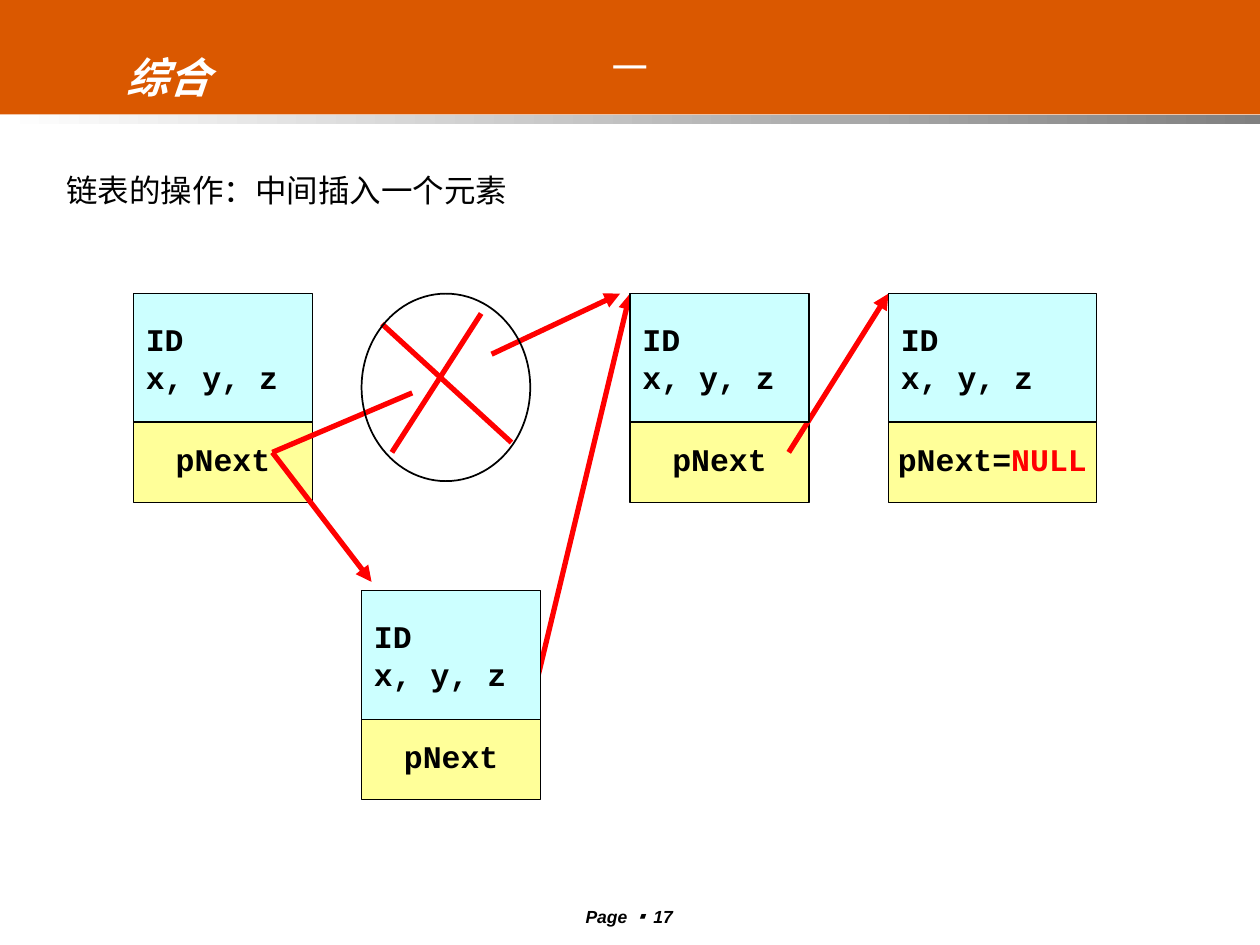
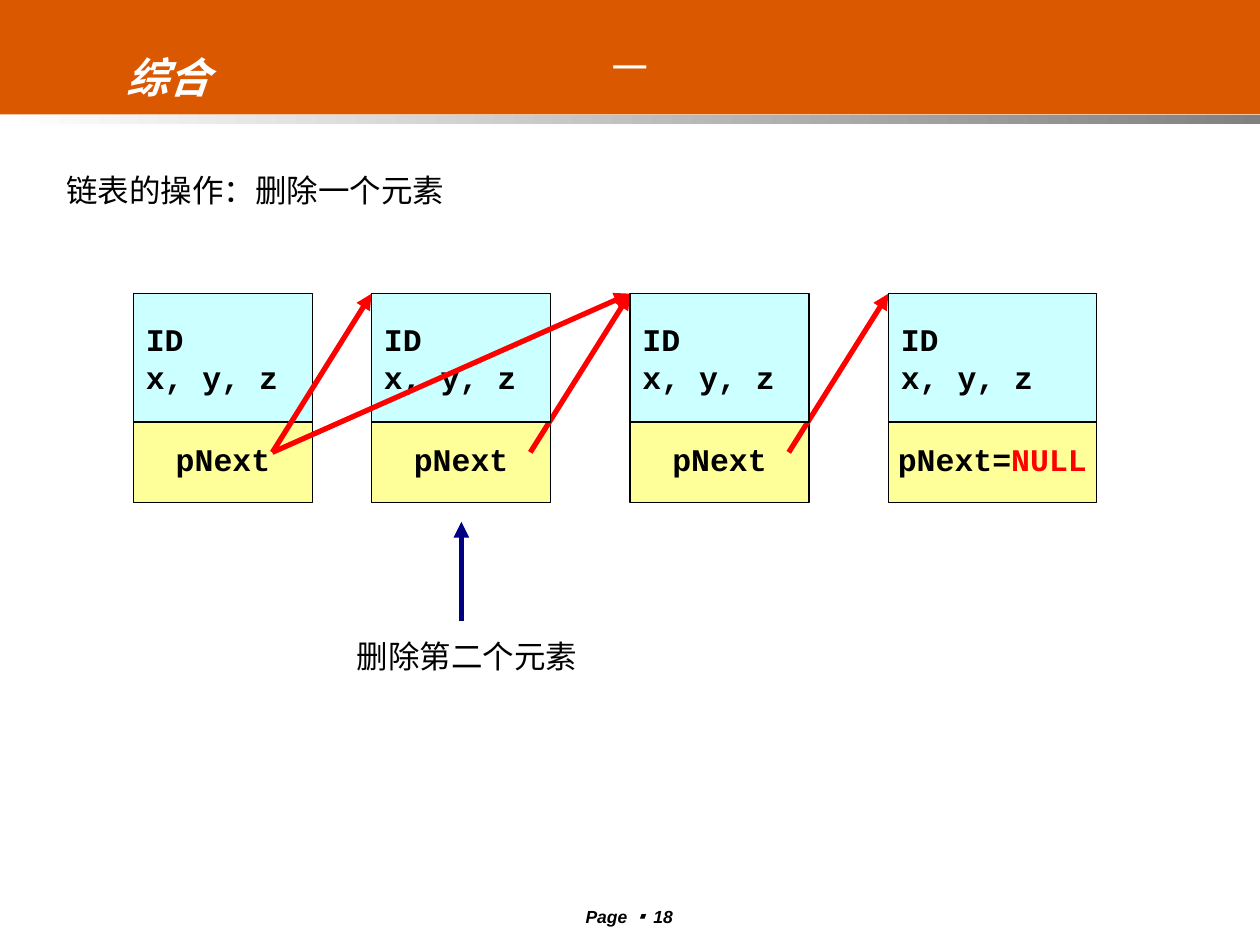
"""Build two slides on linked lists: inserting and deleting an element."""
from lxml.etree import SubElement
from pptx import Presentation
from pptx.dml.color import RGBColor
from pptx.enum.shapes import MSO_CONNECTOR, MSO_SHAPE
from pptx.enum.text import MSO_ANCHOR, MSO_AUTO_SIZE, PP_ALIGN
from pptx.oxml.ns import qn
from pptx.util import Cm, Pt

ORANGE, WHITE, GREY, BLACK = "DA5800", "FFFFFF", "808080", "000000"
CYAN, YELLOW, RED, NAVY = "CCFFFF", "FFFF99", "FF0000", "000080"
SANS, MONO, SYMBOL = "Arial", "Courier New", "Noto Sans CJK JP"
color = RGBColor.from_string


def write(shape, paragraphs, size, align=PP_ALIGN.LEFT, anchor=MSO_ANCHOR.TOP,
          bold=False, italic=False, wrap=False):
    """Fill a shape with paragraphs of (text, font, colour) runs."""
    frame = shape.text_frame
    frame.auto_size = MSO_AUTO_SIZE.NONE
    frame.word_wrap = wrap
    frame.vertical_anchor = anchor
    for index, runs in enumerate(paragraphs):
        paragraph = frame.add_paragraph() if index else frame.paragraphs[0]
        paragraph.alignment = align
        paragraph.space_before = Pt(0)
        for text, font, ink in runs:
            run = paragraph.add_run()
            run.text = text
            run.font.name, run.font.size = font, Pt(size)
            run.font.bold, run.font.italic = bold, italic
            run.font.color.rgb = color(ink)


def draw_line(slide, start, end, ink=RED, arrow=True):
    """Draw a thick straight line between two points in centimetres."""
    line = slide.shapes.add_connector(
        MSO_CONNECTOR.STRAIGHT, *(Cm(v) for v in (*start, *end)))
    line.line.color.rgb = color(ink)
    line.line.width = Pt(3)
    if arrow:
        SubElement(line.line._get_or_add_ln(), qn("a:tailEnd"), type="triangle")
    SubElement(line.element.spPr, qn("a:effectLst"))


prs = Presentation()
prs.slide_width, prs.slide_height = Cm(25.4), Cm(19.05)
layout = prs.slide_layouts[5]

ROW, HEAD_HEIGHT = 5.92, 2.59
NEXT_OFFSET, NEXT_HEIGHT = 2.46, 1.75
POINTER_Y = 9.12
NODE_WIDTH = 3.61
FIRST = (2.69, ROW, NODE_WIDTH)
SECOND = (7.49, ROW, NODE_WIDTH)
THIRD = (12.7, ROW, NODE_WIDTH)
LAST = (17.91, ROW, 4.19)
INSERTED = (7.29, 11.91, NODE_WIDTH)
FIRST_POINTER = (5.49, POINTER_Y)
THIRD_TO_LAST = ((15.9, POINTER_Y), LAST[:2])

topics = [
    (17, "链表的操作：中间插入一个元素", 9.4, [
        ("next", FIRST), ("next", THIRD), ("next", LAST),
        ("arrow", THIRD_TO_LAST), ("head", FIRST),
        ("arrow", (FIRST_POINTER, (7.49, 11.73))),
        ("arrow", ((10.49, 15.11), THIRD[:2])),
        ("next", INSERTED), ("head", INSERTED),
        ("head", THIRD), ("head", LAST),
        ("arrow", ((9.91, 7.14), (12.5, ROW))),
        ("stroke", ((7.7, 6.53), (10.31, 8.92))),
        ("stroke", ((7.9, POINTER_Y), (9.7, 6.32))),
        ("stroke", (FIRST_POINTER, (8.31, 7.92)))]),
    (18, "链表的操作：删除一个元素", 8.13, [
        ("next", FIRST), ("next", THIRD), ("next", LAST),
        ("arrow", THIRD_TO_LAST), ("head", FIRST),
        ("arrow", (FIRST_POINTER, SECOND[:2])), ("next", SECOND),
        ("arrow", ((10.69, POINTER_Y), THIRD[:2])),
        ("head", SECOND), ("head", THIRD), ("head", LAST),
        ("arrow", (FIRST_POINTER, THIRD[:2]))]),
]

slides = []
for page, heading, heading_width, steps in topics:
    slide = prs.slides.add_slide(layout)
    slides.append(slide)
    title = slide.shapes.title
    title.left, title.top, title.width, title.height = Cm(2.29), Cm(0.91), Cm(11), Cm(1.27)
    write(title, [[("综合", SANS, WHITE)]], 24, bold=True, italic=True, wrap=True)

    dash = slide.shapes.add_textbox(Cm(1.3), Cm(0.53), Cm(22.81), Cm(1.6))
    write(dash, [[("－", MONO, WHITE)]], 26, PP_ALIGN.CENTER, MSO_ANCHOR.MIDDLE, wrap=True)
    footer = slide.shapes.add_textbox(Cm(10.69), Cm(18.14), Cm(3.99), Cm(0.56))
    write(footer, [[("Page ", SANS, BLACK), ("▪ ", SYMBOL, BLACK), (str(page), SANS, BLACK)]],
          10, PP_ALIGN.CENTER, bold=True, italic=True, wrap=True)
    subject = slide.shapes.add_textbox(Cm(1.09), Cm(3.33), Cm(heading_width), Cm(1.02))
    write(subject, [[(heading, SANS, BLACK)]], 18)

    for part, place in steps:
        if part in ("arrow", "stroke"):
            draw_line(slide, *place, arrow=part == "arrow")
            continue
        left, top, width = place
        if part == "head":
            height, fill, align = HEAD_HEIGHT, CYAN, PP_ALIGN.LEFT
            content = [[("ID", MONO, BLACK)], [("x, y, z", MONO, BLACK)]]
        else:
            top, height = top + NEXT_OFFSET, NEXT_HEIGHT
            fill, align = YELLOW, PP_ALIGN.CENTER
            content = [[("pNext", MONO, BLACK)]]
            if place == LAST:
                content = [[("pNext=", MONO, BLACK), ("NULL", MONO, RED)]]
        field = slide.shapes.add_shape(
            MSO_SHAPE.RECTANGLE, Cm(left), Cm(top), Cm(width), Cm(height))
        field.shadow.inherit = False
        field.fill.solid()
        field.fill.fore_color.rgb = color(fill)
        field.line.color.rgb = color(BLACK)
        field.line.width = Pt(0.75)
        write(field, content, 18, align, MSO_ANCHOR.MIDDLE, bold=True)

insertion, deletion = slides

broken_link = insertion.shapes.add_shape(
    MSO_SHAPE.OVAL, Cm(7.29), Cm(ROW), Cm(3.4), Cm(3.78))
broken_link.shadow.inherit = False
broken_link.fill.background()
broken_link.line.color.rgb = color(BLACK)
broken_link.line.width = Pt(1)

draw_line(deletion, (9.3, 12.52), (9.3, 10.52), NAVY)
caption = deletion.shapes.add_textbox(Cm(6.91), Cm(12.32), Cm(5), Cm(1.8))
write(caption, [[("删除第二个元素", SANS, BLACK)]], 18, PP_ALIGN.CENTER, MSO_ANCHOR.MIDDLE)

for top, height in ((2.31, 0.2), (0, 2.31)):
    band = insertion.shapes.add_shape(
        MSO_SHAPE.RECTANGLE, 0, Cm(top), Cm(25.5), Cm(height))
    band.shadow.inherit = False
    band.line.fill.background()
    if top:
        band.fill.gradient()
        band.fill.gradient_angle = 0
        for stop, shade in zip(band.fill.gradient_stops, (WHITE, GREY)):
            stop.color.rgb = color(shade)
    else:
        band.fill.solid()
        band.fill.fore_color.rgb = color(ORANGE)
    layout.shapes.element.insert(2, band.element)

prs.save("out.pptx")
